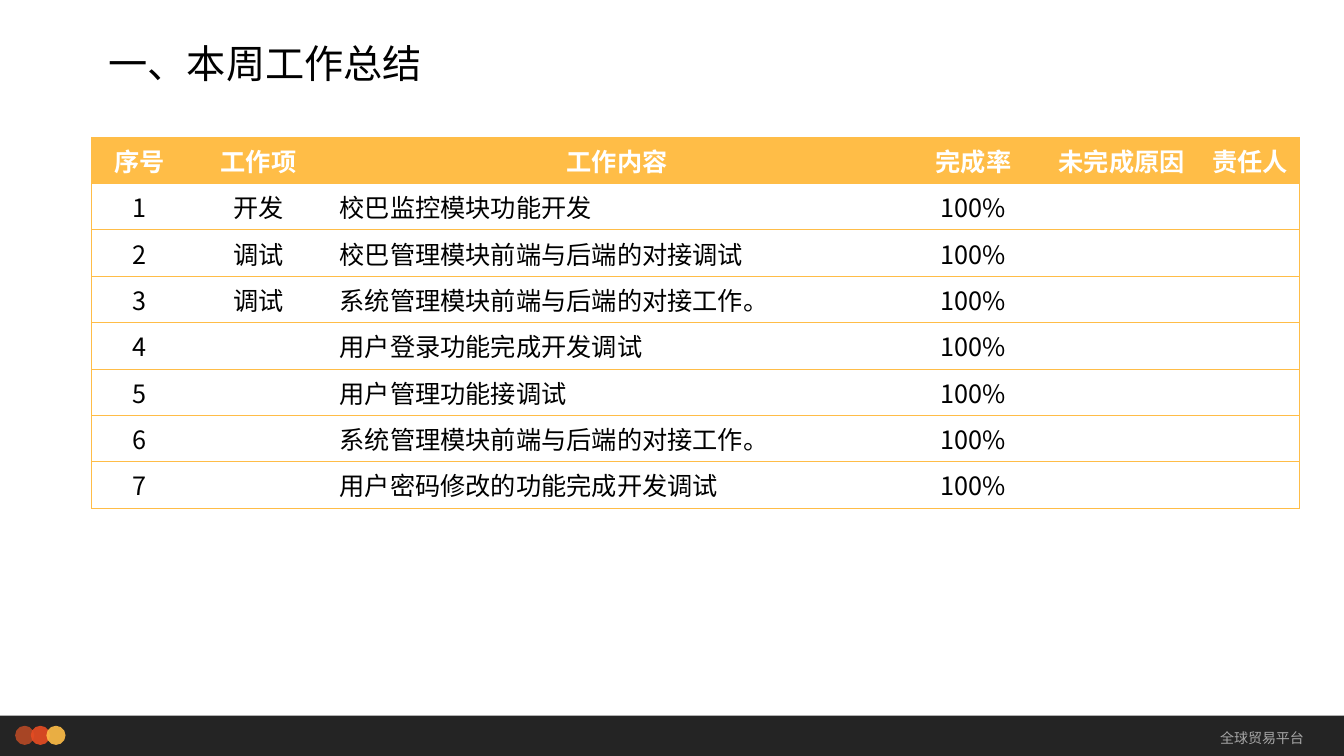
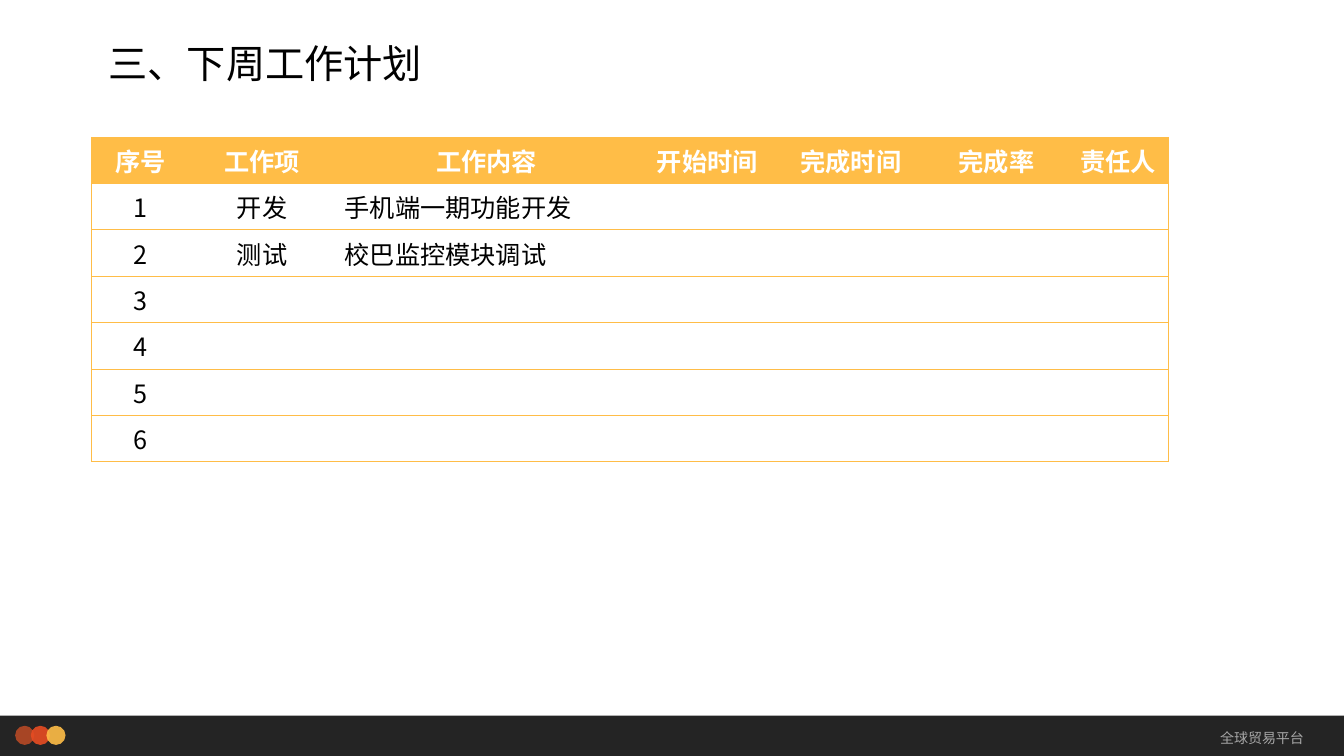
"""Weekly report: a summary table of this week and a plan table for the next."""
from lxml.etree import SubElement
from pptx import Presentation
from pptx.dml.color import RGBColor
from pptx.enum.shapes import MSO_SHAPE as SHAPE
from pptx.enum.text import MSO_ANCHOR as ANCHOR, PP_ALIGN as ALIGN
from pptx.oxml.ns import qn
from pptx.util import Inches, Pt

FONT = "Noto Sans CJK SC"
COLORS = {"bar": "0D0D0D", "rust": "B64926", "red": "E84C22", "amber": "FFBD47",
          "grey": "A6A6A6", "black": "000000", "white": "FFFFFF"}
FOOTER = "全球贸易平台"
ROW_HEIGHT = 0.46
SLIDES = [
    {"title": "一、本周工作总结",
     "widths": [0.95, 1.41, 5.7, 1.37, 1.57, 0.98],
     "rows": [["序号", "工作项", "工作内容", "完成率", "未完成原因", "责任人"],
              ["1", "开发", "校巴监控模块功能开发", "100%", "", ""],
              ["2", "调试", "校巴管理模块前端与后端的对接调试", "100%", "", ""],
              ["3", "调试", "系统管理模块前端与后端的对接工作。", "100%", "", ""],
              ["4", "", "用户登录功能完成开发调试", "100%", "", ""],
              ["5", "", "用户管理功能接调试", "100%", "", ""],
              ["6", "", "系统管理模块前端与后端的对接工作。", "100%", "", ""],
              ["7", "", "用户密码修改的功能完成开发调试", "100%", "", ""]]},
    {"title": "三、下周工作计划",
     "widths": [0.97, 1.44, 3.01, 1.37, 1.48, 1.41, 1],
     "rows": [["序号", "工作项", "工作内容", "开始时间", "完成时间", "完成率", "责任人"],
              ["1", "开发", "手机端一期功能开发", "", "", "", ""],
              ["2", "测试", "校巴监控模块调试", "", "", "", ""]]
             + [[str(n)] + [""] * 6 for n in range(3, 7)]},
]


def write(tf, text, size, color, align, anchor=ANCHOR.TOP, bold=False):
    tf.word_wrap = True
    tf.vertical_anchor = anchor
    p = tf.paragraphs[0]
    p.text = text
    p.alignment = align
    p.font.size = Pt(size)
    p.font.bold = bold
    p.font.color.rgb = RGBColor.from_string(COLORS[color])
    p.font.name = FONT
    SubElement(p._p.pPr.find(qn("a:defRPr")), qn("a:ea"), typeface=FONT)
    return p


def add_border(cell, side, color=None):
    ln = SubElement(cell._tc.get_or_add_tcPr(), qn(f"a:ln{side}"), w=str(Pt(0.5)))
    if color:
        fill = SubElement(ln, qn("a:solidFill"))
        SubElement(fill, qn("a:srgbClr"), val=COLORS[color])
    else:
        SubElement(ln, qn("a:noFill"))


prs = Presentation()
prs.slide_width, prs.slide_height = Inches(13.33), Inches(7.5)

for page in SLIDES:
    s = prs.slides.add_slide(prs.slide_layouts[6])

    band = [(SHAPE.RECTANGLE, 0, 7.1, 13.33, 0.4, "bar")]
    band += [(SHAPE.OVAL, 0.15 + 0.155 * i, 7.2, 0.19, 0.19, color)
             for i, color in enumerate(["rust", "red", "amber"])]
    for kind, x, y, w, h, color in band:
        sp = s.shapes.add_shape(kind, Inches(x), Inches(y), Inches(w), Inches(h))
        sp.shadow.inherit = False
        sp.line.fill.background()
        sp.fill.solid()
        sp.fill.fore_color.rgb = RGBColor.from_string(COLORS[color])
        SubElement(sp._element.spPr.find(".//" + qn("a:srgbClr")), qn("a:alpha"), val="90000")

    footer = s.shapes.add_textbox(Inches(10.77), Inches(7.1), Inches(2.26), Inches(0.44))
    write(footer.text_frame, FOOTER, 10, "grey", ALIGN.RIGHT, ANCHOR.MIDDLE)
    title = s.shapes.add_textbox(Inches(0.98), Inches(0.15), Inches(10), Inches(0.76))
    p = write(title.text_frame, page["title"], 28, "black", ALIGN.LEFT, ANCHOR.BOTTOM)
    p.line_spacing = 0.9

    rows, widths = page["rows"], page["widths"]
    table = s.shapes.add_table(len(rows), len(widths), Inches(0.91), Inches(1.36),
                               Inches(sum(widths)), Inches(ROW_HEIGHT * len(rows))).table
    table.horz_banding = False
    for column, width in zip(table.columns, widths):
        column.width = Inches(width)
    for r, row in enumerate(rows):
        table.rows[r].height = Inches(ROW_HEIGHT)
        for c, text in enumerate(row):
            cell = table.cell(r, c)
            add_border(cell, "L", "amber" if c == 0 else None)
            add_border(cell, "R", "amber" if c == len(row) - 1 else None)
            add_border(cell, "T", "amber")
            add_border(cell, "B", "amber")
            if r == 0:
                cell.fill.solid()
                cell.fill.fore_color.rgb = RGBColor.from_string(COLORS["amber"])
            else:
                cell.fill.background()
            align = ALIGN.LEFT if r and c == 2 else ALIGN.CENTER
            write(cell.text_frame, text, 18, "black" if r else "white", align, bold=r == 0)

prs.save("out.pptx")
